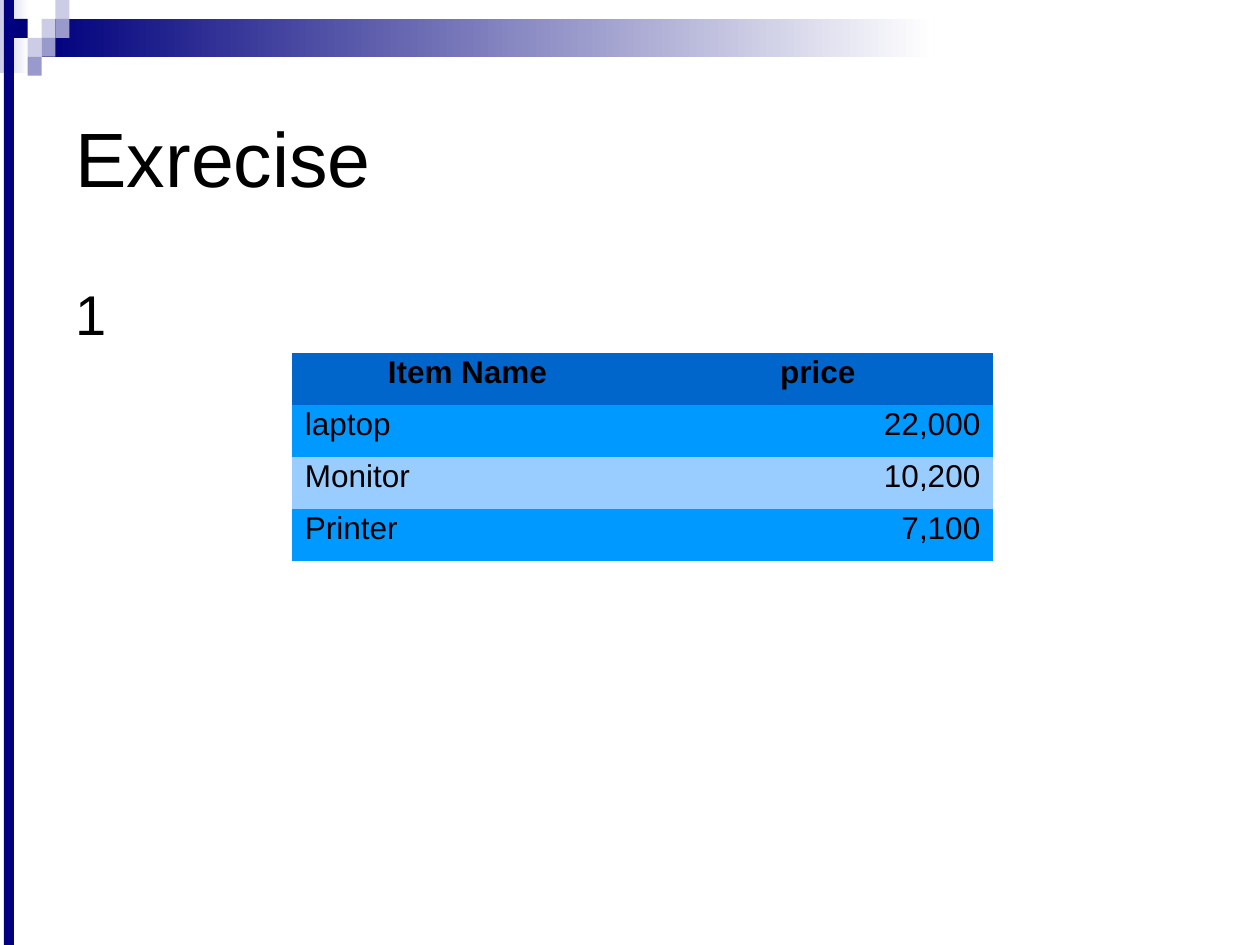
from pptx import Presentation
from pptx.dml.color import RGBColor
from pptx.enum import shapes, text
from pptx.util import Inches, Pt

# Content
TITLE = "Exrecise"
BODY = "1"
ROWS = [
    ("Item Name", "price"),
    ("laptop", "22,000"),
    ("Monitor", "10,200"),
    ("Printer", "7,100"),
]

# Colours
BLACK = RGBColor(0x00, 0x00, 0x00)
WHITE = RGBColor(0xFF, 0xFF, 0xFF)
NAVY = RGBColor(0x00, 0x00, 0x7D)
EDGE = RGBColor(0x00, 0x00, 0x80)
LILAC = RGBColor(0x99, 0x99, 0xCC)
PALE = RGBColor(0xCC, 0xCC, 0xE6)
HEADER = RGBColor(0x00, 0x66, 0xCC)
BANDS = [RGBColor(0x00, 0x99, 0xFF), RGBColor(0x99, 0xCC, 0xFF)]

# Corner mosaic: column, row, colour
TILE_W, TILE_H = 0.11, 0.15
TILES = [
    (3, 1, PALE), (4, 0, PALE), (4, 1, LILAC), (2, 2, PALE),
    (1, 1, NAVY), (3, 2, LILAC), (2, 3, LILAC),
]
NO_STYLE = "{2D5ABB26-0587-4C30-8999-92F81FD0307C}"


def add_bar(s, x, y, w, h, color, fade=False):
    bar = s.shapes.add_shape(shapes.MSO_SHAPE.RECTANGLE, *map(Inches, (x, y, w, h)))
    bar.shadow.inherit = False
    bar.line.fill.background()
    if fade:
        bar.fill.gradient()
        bar.fill.gradient_angle = 0
        for stop, c in zip(bar.fill.gradient_stops, (color, WHITE)):
            stop.color.rgb = c
    else:
        bar.fill.solid()
        bar.fill.fore_color.rgb = color


def write(tf, words, size, align=text.PP_ALIGN.LEFT, bold=False):
    tf.text = words
    p = tf.paragraphs[0]
    p.alignment = align
    font = p.runs[0].font
    font.name, font.size, font.bold = "Arial", Pt(size), bold
    font.color.rgb = BLACK
    return p


def main():
    prs = Presentation()
    prs.slide_width, prs.slide_height = Inches(10), Inches(7.5)
    s = prs.slides.add_slide(prs.slide_layouts[5])

    # Decoration
    add_bar(s, 0, 0, 0.23, 0.58, PALE, fade=True)
    add_bar(s, 0.33, 0.15, 7.08, 0.3, NAVY, fade=True)
    for col, row, color in TILES:
        add_bar(s, col * TILE_W, row * TILE_H, TILE_W, TILE_H, color)
    add_bar(s, 0.03, 0, 0.08, 7.5, EDGE)

    # Title
    title = s.shapes.title
    title.left, title.top, title.width, title.height = map(Inches, (0.5, 0.5, 8.99, 1.49))
    title.text_frame.vertical_anchor = text.MSO_ANCHOR.MIDDLE
    write(title.text_frame, TITLE, 44)

    # Body
    body = s.shapes.add_textbox(*map(Inches, (0.5, 2.17, 8.99, 4.95)))
    body.text_frame.word_wrap = True
    write(body.text_frame, BODY, 32).space_before = Pt(8)

    # Price table
    frame = s.shapes.add_table(len(ROWS), 2, *map(Inches, (2.32, 2.8, 5.56, 1.65)))
    table = frame.table
    table.first_row = table.horz_banding = False
    table._tbl.tblPr.find("{*}tableStyleId").text = NO_STYLE
    for i, row in enumerate(ROWS):
        for j, words in enumerate(row):
            cell = table.cell(i, j)
            cell.fill.solid()
            cell.fill.fore_color.rgb = BANDS[(i - 1) % 2] if i else HEADER
            align = (text.PP_ALIGN.LEFT, text.PP_ALIGN.RIGHT)[j] if i else text.PP_ALIGN.CENTER
            write(cell.text_frame, words, 18, align, bold=i == 0).line_spacing = 0.87

    prs.save("out.pptx")


if __name__ == "__main__":
    main()
